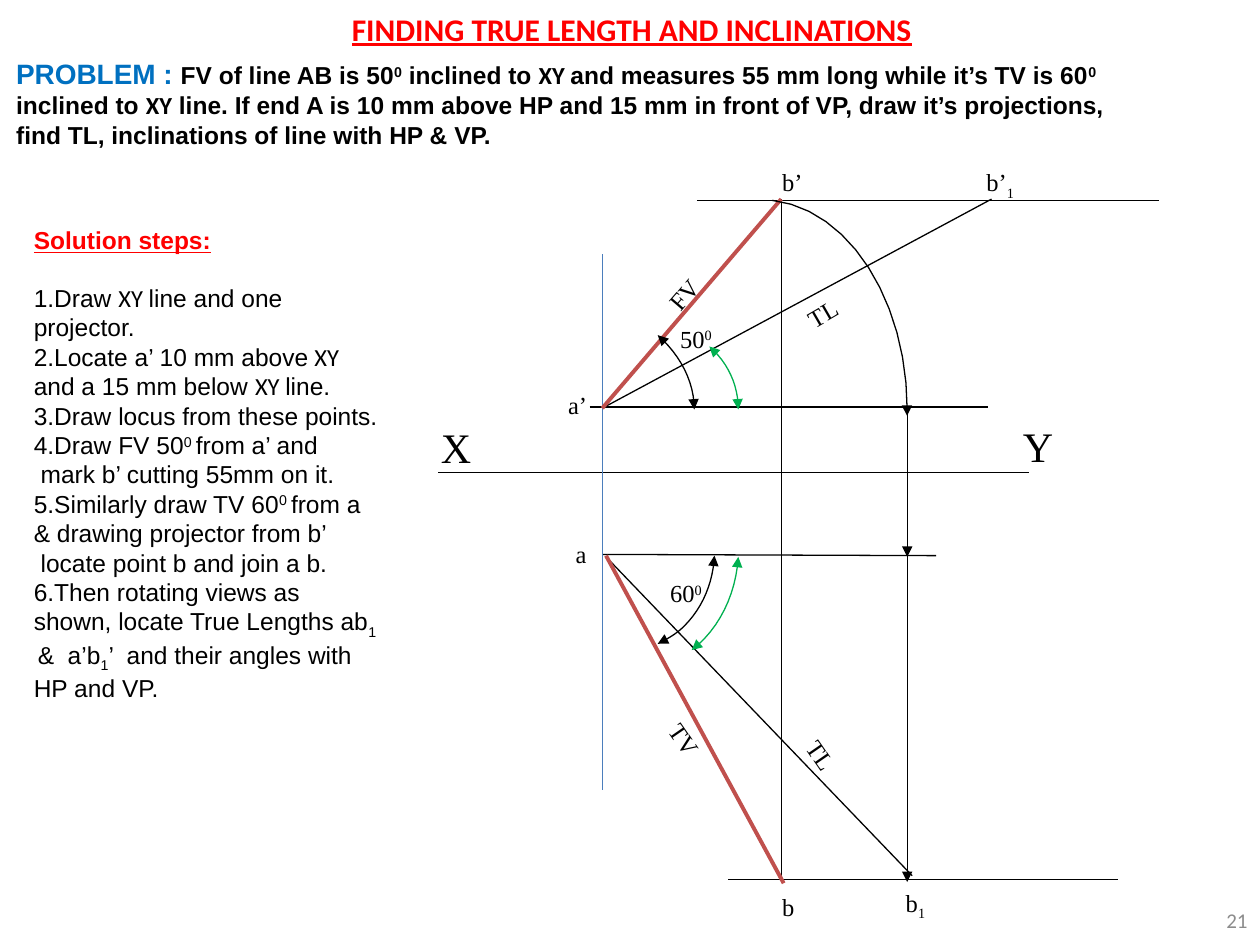
from lxml.etree import SubElement
from pptx import Presentation
from pptx.dml.color import RGBColor
from pptx.enum.shapes import MSO_CONNECTOR
from pptx.enum.text import MSO_ANCHOR, MSO_AUTO_SIZE, PP_ALIGN
from pptx.oxml.ns import qn
from pptx.util import Inches, Pt

BLACK, RED, BLUE, GREEN = "000000", "FF0000", "0070C0", "00B050"
SERIF, SANS, HEAD = "Times New Roman", "Arial", "Calibri"
BASE = {"^": "30000", "_": "-25000"}


def color(code):
    return RGBColor.from_string(code)


def curve(points, steps=12):
    """Sample a chain of cubic Bezier segments."""
    out = [points[0]]
    for i in range(0, len(points) - 1, 3):
        part = points[i:i + 4]
        for n in range(1, steps + 1):
            t = n / steps
            mix = ((1 - t) ** 3, 3 * t * (1 - t) ** 2, 3 * t * t * (1 - t), t ** 3)
            out.append(tuple(sum(m * p[k] for m, p in zip(mix, part)) for k in (0, 1)))
    return out


class Sheet:
    def __init__(self, slide):
        self.slide = slide
        self.shapes = slide.shapes

    def text(self, box, paras, size=14, font=SERIF, ink=BLACK, bold=False, under=False,
             align=PP_ALIGN.LEFT, wrap=True, turn=0):
        """Add text; '|' splits runs, led by ^ (raised), _ (lowered) or ~ (Calibri)."""
        shape = self.shapes.add_textbox(*map(Inches, box))
        shape.rotation = turn
        frame = shape.text_frame
        frame.word_wrap = wrap
        frame.auto_size = MSO_AUTO_SIZE.SHAPE_TO_FIT_TEXT
        for i, line in enumerate(paras):
            para = frame.add_paragraph() if i else frame.paragraphs[0]
            para.alignment = align
            for part in line.split("|"):
                mark = part[0] if part[0] in "^_~" else ""
                run = para.add_run()
                run.text = part[len(mark):]
                face = run.font
                face.name = HEAD if mark == "~" else font
                face.size, face.bold, face.underline = Pt(size), bold, under
                face.color.rgb = color(ink)
                if mark in BASE:
                    run._r.get_or_add_rPr().set("baseline", BASE[mark])
        return shape

    def label(self, box, words, size=14, turn=0):
        self.text(box, [words], size, wrap=False, turn=turn)

    def pen(self, shape, ink, width, ends):
        """Set the outline; ends names the arrowheads as 'head' or 'tail'."""
        shape.line.color.rgb = color(ink)
        shape.line.width = Pt(width)
        ln = shape.element.spPr.get_or_add_ln()
        for end in ends:
            SubElement(ln, qn(f"a:{end}End")).set("type", "triangle")

    def line(self, x1, y1, x2, y2, ink=BLACK, width=0.75, ends=()):
        shape = self.shapes.add_connector(
            MSO_CONNECTOR.STRAIGHT, *map(Inches, (x1, y1, x2, y2)))
        self.pen(shape, ink, width, ends)
        SubElement(shape.element.spPr, qn("a:effectLst"))

    def arc(self, points, ink=BLACK, ends=("head", "tail")):
        dots = [(Inches(x), Inches(y)) for x, y in curve(points)]
        path = self.shapes.build_freeform(*dots[0])
        path.add_line_segments(dots[1:], close=False)
        shape = path.convert_to_shape()
        shape.shadow.inherit = False
        shape.fill.background()
        self.pen(shape, ink, 0.75, ends)


LINES = [
    (3.48, 3.75, 8.17, 3.75),
    (5.53, 1.59, 9.2, 1.59),
    (4.68, 3.23, 7.84, 3.23),
    (4.78, 4.4, 7.43, 4.41),
    (6.2, 1.58, 6.2, 7),
    (5.78, 6.98, 8.87, 6.98),
    (4.82, 4.43, 7.24, 6.95),
    (4.78, 3.24, 7.87, 1.58),
    (4.78, 2.02, 4.78, 6.27, "4B7EBC"),
    (4.78, 3.24, 6.2, 1.58, "C0504D", 2.25),
    (6.22, 7.01, 4.81, 4.41, "C0504D", 2.25),
    (7.2, 4.39, 7.2, 7, BLACK, 0.75, ["tail"]),
    (7.2, 4.42, 7.2, 3.25, BLACK, 0.75, ["head"]),
]
ARCS = [
    ([(5.67, 4.41), (5.66, 4.62), (5.58, 4.82), (5.43, 4.97),
      (5.37, 5.03), (5.3, 5.07), (5.22, 5.11)],),
    ([(6.13, 1.59), (6.74, 1.66), (7.2, 2.39), (7.2, 3.25),
      (7.2, 3.27), (7.2, 3.28), (7.2, 3.3)], BLACK, ["tail"]),
    ([(5.22, 2.66), (5.4, 2.82), (5.51, 3.03), (5.51, 3.25)],),
    ([(5.63, 2.75), (5.78, 2.88), (5.86, 3.06), (5.86, 3.25)], GREEN),
    ([(5.86, 4.42), (5.84, 4.72), (5.71, 4.99), (5.49, 5.16)], GREEN),
]
LABELS = [
    ((3.4, 3.3, 0.44, 0.5), "X", 24),
    ((8.02, 3.29, 0.45, 0.5), "Y", 24),
    ((4.41, 3.05, 0.35, 0.33), "a’"),
    ((4.47, 4.23, 0.29, 0.33), "a"),
    ((6.11, 1.28, 0.36, 0.33), "b’"),
    ((6.11, 7.03, 0.3, 0.33), "b"),
    ((7.73, 1.28, 0.43, 0.34), "b’|_1"),
    ((7.09, 7, 0.36, 0.34), "b|_1"),
    ((5.3, 2.52, 0.46, 0.34), "50|^0"),
    ((5.22, 4.54, 0.46, 0.34), "60|^0"),
    ((5.2, 2.17, 0.45, 0.33), "FV", 14, 310.6),
    ((5.2, 5.7, 0.46, 0.34), "TV", 14, 55.4),
    ((6.31, 2.32, 0.44, 0.33), "TL", 14, 329.9),
    ((6.3, 5.83, 0.44, 0.33), "TL", 14, 55.4),
]
PROBLEM = (
    "PROBLEM : |FV of line AB is 50|^0| inclined to |~XY |and measures 55 mm long "
    "while it’s TV is 60|^0| inclined to |~XY| line. If end A is 10 mm above HP and "
    "15 mm in front of VP, draw it’s projections, find TL, inclinations of line "
    "with HP & VP.")
STEPS = [
    "Solution steps:",
    "1.Draw |~XY |line and one projector.",
    "2.Locate a’ 10 mm above|~ XY |and a 15 mm below |~XY |line.",
    "3.Draw locus from these points.",
    "4.Draw FV 50|^0 |from a’ and",
    " mark b’ cutting 55mm on it.",
    "5.Similarly draw TV 60|^0 |from a & drawing projector from b’",
    " locate point b and join a b.",
    "6.Then rotating views as shown, locate True Lengths ab|_1  |&  a’b|_1|"
    "’  and their angles with HP and VP.",
]


def main():
    deck = Presentation()
    deck.slide_width, deck.slide_height = Inches(10), Inches(7.5)
    sheet = Sheet(deck.slides.add_slide(deck.slide_layouts[6]))

    for item in LINES:
        sheet.line(*item)
    for item in ARCS:
        sheet.arc(*item)
    for item in LABELS:
        sheet.label(*item)

    sheet.text((0.03, 0.03, 9.97, 0.4), ["FINDING TRUE LENGTH AND INCLINATIONS"],
               18, HEAD, RED, True, True, PP_ALIGN.CENTER)
    task = sheet.text((0.03, 0.4, 8.95, 0.84), [PROBLEM], font=SANS, bold=True)
    lead = task.text_frame.paragraphs[0].runs[0].font
    lead.size, lead.color.rgb = Pt(16), color(BLUE)

    steps = sheet.text((0.17, 1.74, 2.93, 4.11), STEPS, font=SANS)
    first = steps.text_frame.paragraphs[0]
    first.space_after = Pt(16)
    title = first.runs[0].font
    title.bold = title.underline = True
    title.color.rgb = color(RED)

    page = sheet.text((7.75, 7.1, 2.25, 0.4), ["21"], 12, HEAD, "8C8C8C",
                      align=PP_ALIGN.RIGHT)
    page.text_frame.auto_size = MSO_AUTO_SIZE.NONE
    page.text_frame.vertical_anchor = MSO_ANCHOR.MIDDLE
    deck.save("out.pptx")


if __name__ == "__main__":
    main()
